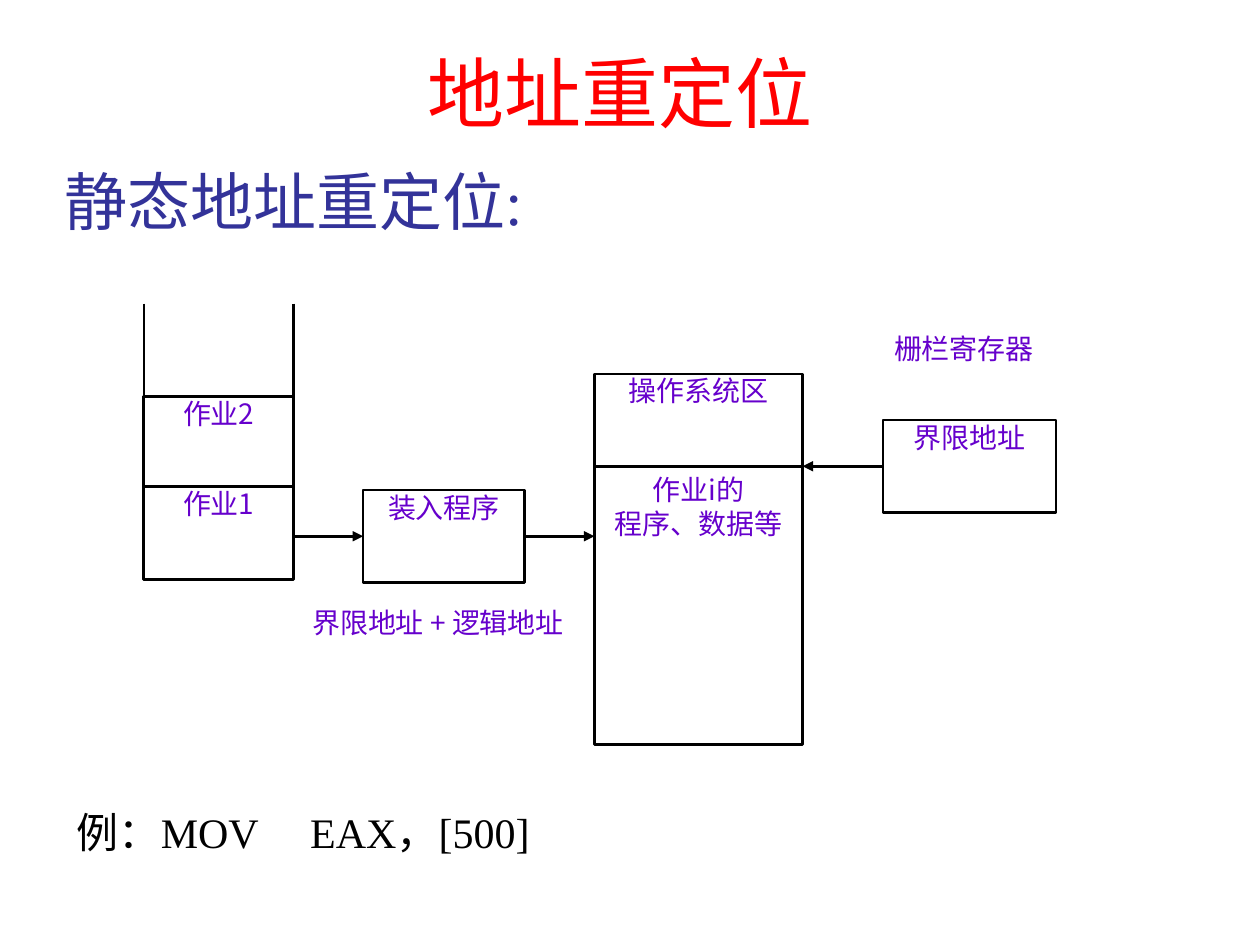
from dataclasses import dataclass
from typing import Optional

from pptx import Presentation
from pptx.dml.color import RGBColor
from pptx.enum.shapes import MSO_CONNECTOR, MSO_SHAPE
from pptx.enum.text import MSO_ANCHOR, MSO_AUTO_SIZE, PP_ALIGN
from pptx.oxml.ns import qn
from pptx.util import Cm, Pt

COLORS = {
    "title": "FF0000",
    "heading": "333399",
    "label": "6600CC",
    "ink": "000000",
    "paper": "FFFFFF",
}
SERIF = "Times New Roman"
SANS = "Noto Sans CJK SC"
LINE_WIDTH = Pt(1.5)
LEFT, RIGHT = 1, 3  # connection sites of a rectangle


@dataclass(frozen=True)
class Block:
    name: str
    lines: tuple[str, ...]
    left: float
    top: float
    width: float
    height: float
    outlined: bool = True
    padded: bool = False


@dataclass(frozen=True)
class Link:
    start: tuple[float, float]
    end: tuple[float, float]
    arrow: bool = True
    start_block: Optional[str] = None
    end_block: Optional[str] = None
    start_site: int = RIGHT
    end_site: int = LEFT


JOB_LEFT, JOB_RIGHT = 2.9, 5.92
JOB_TOP, STACK_TOP = 8.0, 6.12
JOB_WIDTH = JOB_RIGHT - JOB_LEFT
MEMORY_LEFT, MEMORY_WIDTH = 11.98, 4.2
MEMORY_RIGHT = MEMORY_LEFT + MEMORY_WIDTH
LOADER_LEFT, LOADER_WIDTH = 7.32, 3.26
REGISTER_LEFT = 17.8
ROW = 1.86
LOAD_Y, FENCE_Y = 10.81, 9.4

BLOCKS = (
    Block("system", ("操作系统区",), MEMORY_LEFT, FENCE_Y - ROW, MEMORY_WIDTH, ROW),
    Block("memory", ("作业i的", "程序、数据等"), MEMORY_LEFT, FENCE_Y,
          MEMORY_WIDTH, 5.61, padded=True),
    Block("register", ("界限地址",), REGISTER_LEFT, FENCE_Y - ROW / 2, 3.49, ROW),
    Block("register label", ("栅栏寄存器",), 17.33, 6.68, 4.2, 1.3, outlined=False),
    Block("job 2", ("作业2",), JOB_LEFT, JOB_TOP, JOB_WIDTH, ROW),
    Block("job 1", ("作业1",), JOB_LEFT, 9.81, JOB_WIDTH, 1.87),
    Block("sum label", ("界限地址 + 逻辑地址",), JOB_RIGHT, 12.21, 5.82, ROW,
          outlined=False),
    Block("loader", ("装入程序",), LOADER_LEFT, LOAD_Y - ROW / 2, LOADER_WIDTH, ROW),
)

LINKS = (
    Link((REGISTER_LEFT, FENCE_Y), (MEMORY_RIGHT, FENCE_Y),
         start_block="register", start_site=LEFT),
    Link((JOB_RIGHT, LOAD_Y), (LOADER_LEFT, LOAD_Y), end_block="loader"),
    Link((LOADER_LEFT + LOADER_WIDTH, LOAD_Y), (MEMORY_LEFT, LOAD_Y),
         start_block="loader"),
    *(Link((x, STACK_TOP), (x, JOB_TOP), arrow=False) for x in (JOB_LEFT, JOB_RIGHT)),
)


def color(key: str) -> RGBColor:
    return RGBColor.from_string(COLORS[key])


def add_span(para, text: str, size: int, font: str, color_key: str) -> None:
    span = para.add_run()
    span.text = text
    span.font.size = Pt(size)
    span.font.name = font
    span.font.color.rgb = color(color_key)
    east_asian = span.font._element.makeelement(qn("a:ea"), {"typeface": SANS})
    span.font._element.find(qn("a:latin")).addnext(east_asian)


def remove_margins(frame) -> None:
    frame.margin_left = frame.margin_right = 0
    frame.margin_top = frame.margin_bottom = 0


def add_block(slide, block: Block):
    place = (Cm(block.left), Cm(block.top), Cm(block.width), Cm(block.height))
    if block.outlined:
        box = slide.shapes.add_shape(MSO_SHAPE.RECTANGLE, *place)
        box.shadow.inherit = False
        box.fill.solid()
        box.fill.fore_color.rgb = color("paper")
        box.line.color.rgb = color("ink")
        box.line.width = LINE_WIDTH
    else:
        box = slide.shapes.add_textbox(*place)
    frame = box.text_frame
    frame.word_wrap = True
    frame.vertical_anchor = MSO_ANCHOR.TOP
    if not block.padded:
        remove_margins(frame)
    for index, line in enumerate(block.lines):
        para = frame.add_paragraph() if index else frame.paragraphs[0]
        para.alignment = PP_ALIGN.CENTER
        add_span(para, line, 16, SANS, "label")
    return box


def add_link(slide, link: Link, boxes: dict) -> None:
    connector = slide.shapes.add_connector(
        MSO_CONNECTOR.STRAIGHT, *(Cm(value) for value in link.start + link.end))
    if link.start_block:
        connector.begin_connect(boxes[link.start_block], link.start_site)
    if link.end_block:
        connector.end_connect(boxes[link.end_block], link.end_site)
    connector.line.color.rgb = color("ink")
    connector.line.width = LINE_WIDTH
    if link.arrow:
        line = connector.line._ln
        line.append(line.makeelement(qn("a:tailEnd"), {"type": "triangle"}))
    properties = connector._element.spPr
    properties.append(properties.makeelement(qn("a:effectLst"), {}))


def add_text(slide, text: str, left: float, top: float, width: float,
             height: float, size: int, color_key: str):
    box = slide.shapes.add_textbox(Cm(left), Cm(top), Cm(width), Cm(height))
    box.text_frame.word_wrap = True
    add_span(box.text_frame.paragraphs[0], text, size, SERIF, color_key)
    return box


def main() -> None:
    deck = Presentation()
    deck.slide_width, deck.slide_height = Cm(25.4), Cm(19.05)
    slide = deck.slides.add_slide(deck.slide_layouts[5])

    title = slide.shapes.title
    title.left, title.top = Cm(0.7), Cm(0.91)
    title.width, title.height = Cm(23.6), Cm(1.85)
    remove_margins(title.text_frame)
    title.text_frame.auto_size = MSO_AUTO_SIZE.NONE
    title.text_frame.vertical_anchor = MSO_ANCHOR.TOP
    para = title.text_frame.paragraphs[0]
    para.alignment = PP_ALIGN.CENTER
    add_span(para, "地址重定位", 44, SERIF, "title")

    heading = add_text(slide, "静态地址重定位:", 1.3, 3.28, 22.4, 1.52, 36, "heading")
    remove_margins(heading.text_frame)
    heading.text_frame.vertical_anchor = MSO_ANCHOR.MIDDLE

    boxes = {block.name: add_block(slide, block) for block in BLOCKS}
    for link in LINKS:
        add_link(slide, link, boxes)

    add_text(slide, "例：MOV　 EAX，[500]", 1.3, 16.13, 9.8, 1.27, 24, "ink")
    deck.save("out.pptx")


if __name__ == "__main__":
    main()
